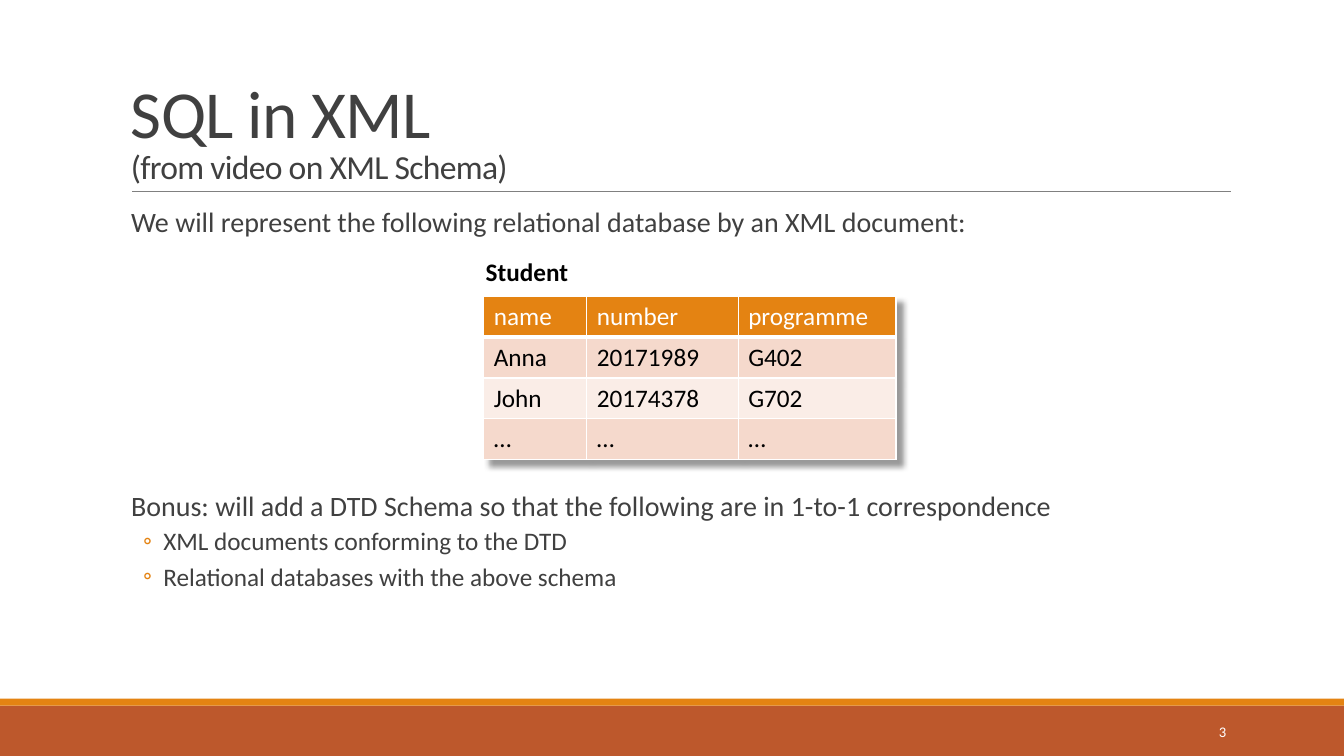
from lxml.etree import SubElement
from pptx import Presentation
from pptx.dml.color import RGBColor
from pptx.enum.shapes import MSO_CONNECTOR as Connector, MSO_SHAPE as Shape
from pptx.enum.text import MSO_ANCHOR as Anchor, PP_ALIGN as Align
from pptx.oxml.ns import qn
from pptx.util import Emu, Inches, Pt

WIDTH, HEIGHT = Inches(13.33), Inches(7.5)
FONT = "Calibri"
COLORS = {
    "text": "404040", "black": "000000", "white": "FFFFFF", "rule": "808080",
    "orange": "E48312", "rust": "BD582C", "odd": "F5D9CC", "even": "FAEDE7",
}
STUDENTS = [
    ["name", "number", "programme"],
    ["Anna", "20171989", "G402"],
    ["John", "20174378", "G702"],
    ["…", "…", "…"],
]
COLUMN_SHARES = [0.25, 0.367, 0.383]
LEFT, SPAN = 9, 82.5


def color(name):
    return RGBColor.from_string(COLORS[name])


def area(left, top, width, height):
    return [Emu(int(side * share / 100)) for side, share in
            zip((WIDTH, HEIGHT, WIDTH, HEIGHT), (left, top, width, height))]


def add_xml(parent, tag, **attributes):
    return SubElement(parent, qn(tag), {key: str(value) for key, value in attributes.items()})


def write(paragraph, text, size=18, ink="text", bold=False, align=Align.LEFT,
          line=1.0, before=0, after=0, indent=0, hanging=0, bullet=None, tracking=0):
    properties = paragraph._p.get_or_add_pPr()
    properties.set("marL", str(Inches(indent)))
    properties.set("indent", str(-Inches(hanging)))
    paragraph.alignment = align
    paragraph.line_spacing = line
    paragraph.space_before, paragraph.space_after = Pt(before), Pt(after)
    if bullet:
        bullet_color = add_xml(properties, "a:buClr")
        add_xml(bullet_color, "a:srgbClr", val=COLORS["orange"])
        add_xml(properties, "a:buFont", typeface=FONT)
        add_xml(properties, "a:buChar", char=bullet)
    run = paragraph.add_run()
    run.text = text
    run.font.name, run.font.size, run.font.bold = FONT, Pt(size), bold
    run.font.color.rgb = color(ink)
    if tracking:
        run._r.get_or_add_rPr().set("spc", str(int(tracking * 100)))


def add_text_frame(slide, place, anchor=Anchor.TOP, inset=0.1, wrap=True):
    frame = slide.shapes.add_textbox(*area(*place)).text_frame
    frame.word_wrap = wrap
    frame.vertical_anchor = anchor
    frame.margin_left = frame.margin_right = Inches(inset)
    return frame


def add_band(slide, top, height, fill):
    band = slide.shapes.add_shape(Shape.RECTANGLE, *area(0, top, 100, height))
    band.shadow.inherit = False
    band.fill.solid()
    band.fill.fore_color.rgb = color(fill)
    band.line.fill.background()


def add_rule(slide, left, right, level):
    start_x, start_y, length, _ = area(left, level, right - left, 0)
    rule = slide.shapes.add_connector(
        Connector.STRAIGHT, start_x, start_y, start_x + length, start_y)
    rule.line.color.rgb = color("rule")
    rule.line.width = Pt(0.5)
    add_xml(rule._element.spPr, "a:effectLst")


def add_borders(cell, bottom_width):
    properties = cell._tc.get_or_add_tcPr()
    edges = {"a:lnL": 1, "a:lnR": 1, "a:lnT": 1, "a:lnB": bottom_width}
    for position, (tag, width) in enumerate(edges.items()):
        edge = properties.makeelement(qn(tag), {"w": str(Pt(width))})
        properties.insert(position, edge)
        add_xml(add_xml(edge, "a:solidFill"), "a:srgbClr", val=COLORS["white"])


def add_table_shadow(table):
    effects = table._tbl.tblPr.makeelement(qn("a:effectLst"), {})
    table._tbl.tblPr.insert(0, effects)
    shadow = add_xml(effects, "a:outerShdw", blurRad=Pt(4), dist=Pt(6),
                     dir=45 * 60000, algn="tl", rotWithShape=0)
    add_xml(add_xml(shadow, "a:srgbClr", val=COLORS["black"]), "a:alpha", val=40000)


def add_student_table(slide, place):
    bounds = area(*place)
    table = slide.shapes.add_table(len(STUDENTS), len(COLUMN_SHARES), *bounds).table
    for column, share in zip(table.columns, COLUMN_SHARES):
        column.width = Emu(int(bounds[2] * share))
    for row_index, record in enumerate(STUDENTS):
        header = row_index == 0
        fill = "orange" if header else ("odd" if row_index % 2 else "even")
        for column_index, value in enumerate(record):
            cell = table.cell(row_index, column_index)
            cell.fill.solid()
            cell.fill.fore_color.rgb = color(fill)
            add_borders(cell, 3 if header else 1)
            write(cell.text_frame.paragraphs[0], value, ink="white" if header else "black")
    add_table_shadow(table)


def add_title(slide):
    title = add_text_frame(slide, (LEFT, 4.13, SPAN, 21.2), Anchor.BOTTOM).paragraphs[0]
    write(title, "SQL in XML", size=48, line=0.85, tracking=-0.5)
    title.add_line_break()
    write(title, "(from video on XML Schema)", size=24, line=0.85, tracking=-0.5)


def add_body(slide):
    statement = {"size": 20, "line": 0.9, "after": 2, "indent": 0.1}
    item = {"line": 0.9, "before": 2, "after": 4, "indent": 0.42, "hanging": 0.2, "bullet": "◦"}
    intro = add_text_frame(slide, (LEFT, 26.93, SPAN, 5.33), inset=0)
    write(intro.paragraphs[0],
          "We will represent the following relational database by an XML document:", **statement)
    bonus = add_text_frame(slide, (LEFT, 64.53, SPAN, 21.07), inset=0)
    write(bonus.paragraphs[0],
          "Bonus: will add a DTD Schema so that the following are in 1-to-1 correspondence",
          **statement)
    for entry in ("XML documents conforming to the DTD",
                  "Relational databases with the above schema"):
        write(bonus.add_paragraph(), entry, **item)


def main():
    deck = Presentation()
    deck.slide_width, deck.slide_height = WIDTH, HEIGHT
    slide = deck.slides.add_slide(deck.slide_layouts[6])
    add_band(slide, 93.33, 6.67, "rust")
    add_band(slide, 92.4, 0.93, "orange")
    add_rule(slide, 9.83, 91.6, 25.33)
    add_title(slide)
    add_body(slide)
    page = add_text_frame(slide, (81.25, 94.13, 10.73, 5.33), Anchor.MIDDLE)
    write(page.paragraphs[0], "3", size=10.5, ink="white", align=Align.RIGHT)
    add_student_table(slide, (36, 39.2, 30.67, 21.6))
    caption = add_text_frame(slide, (35.4, 33.2, 7.73, 5.33), wrap=False)
    write(caption.paragraphs[0], "Student", ink="black", bold=True)
    deck.save("out.pptx")


if __name__ == "__main__":
    main()
